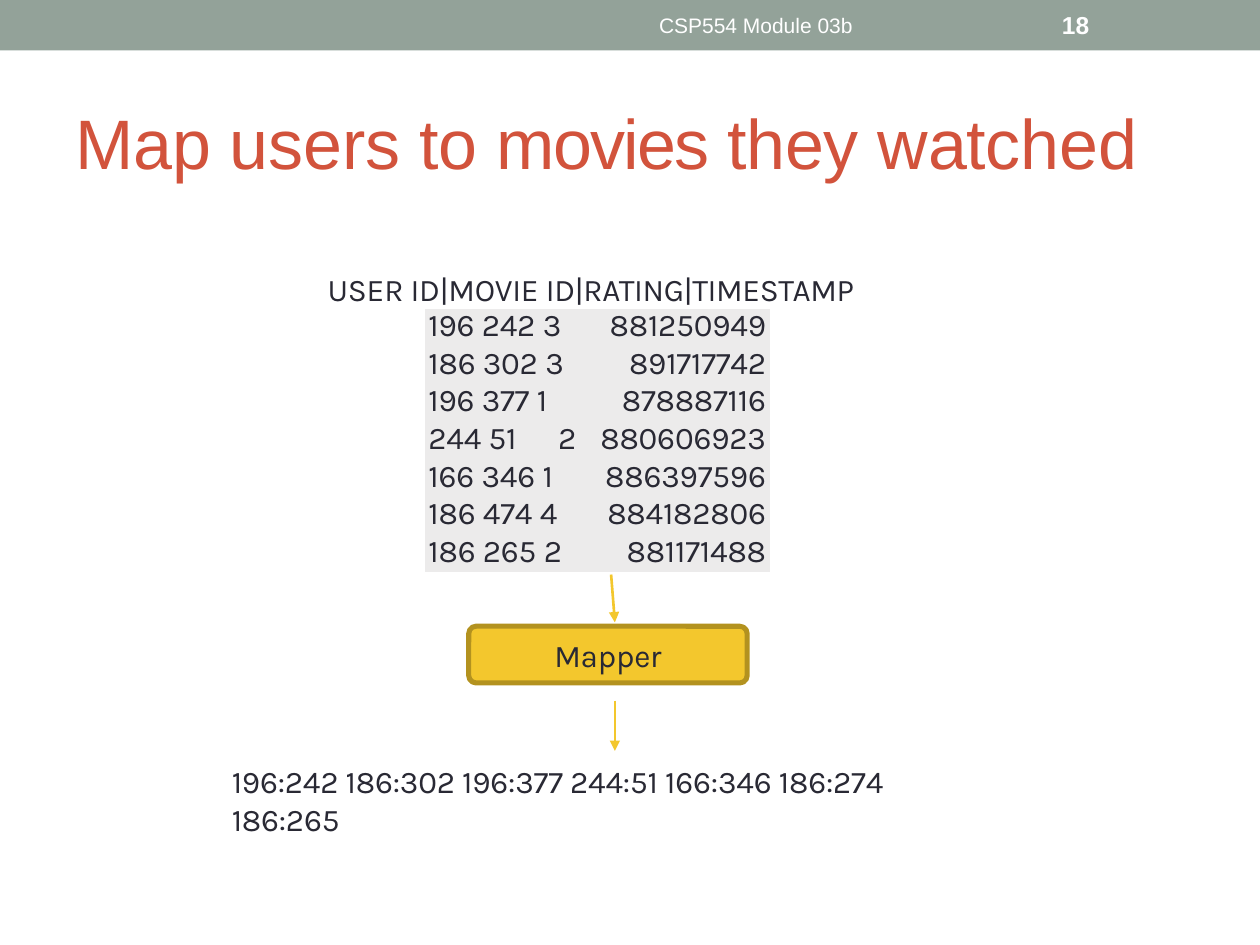
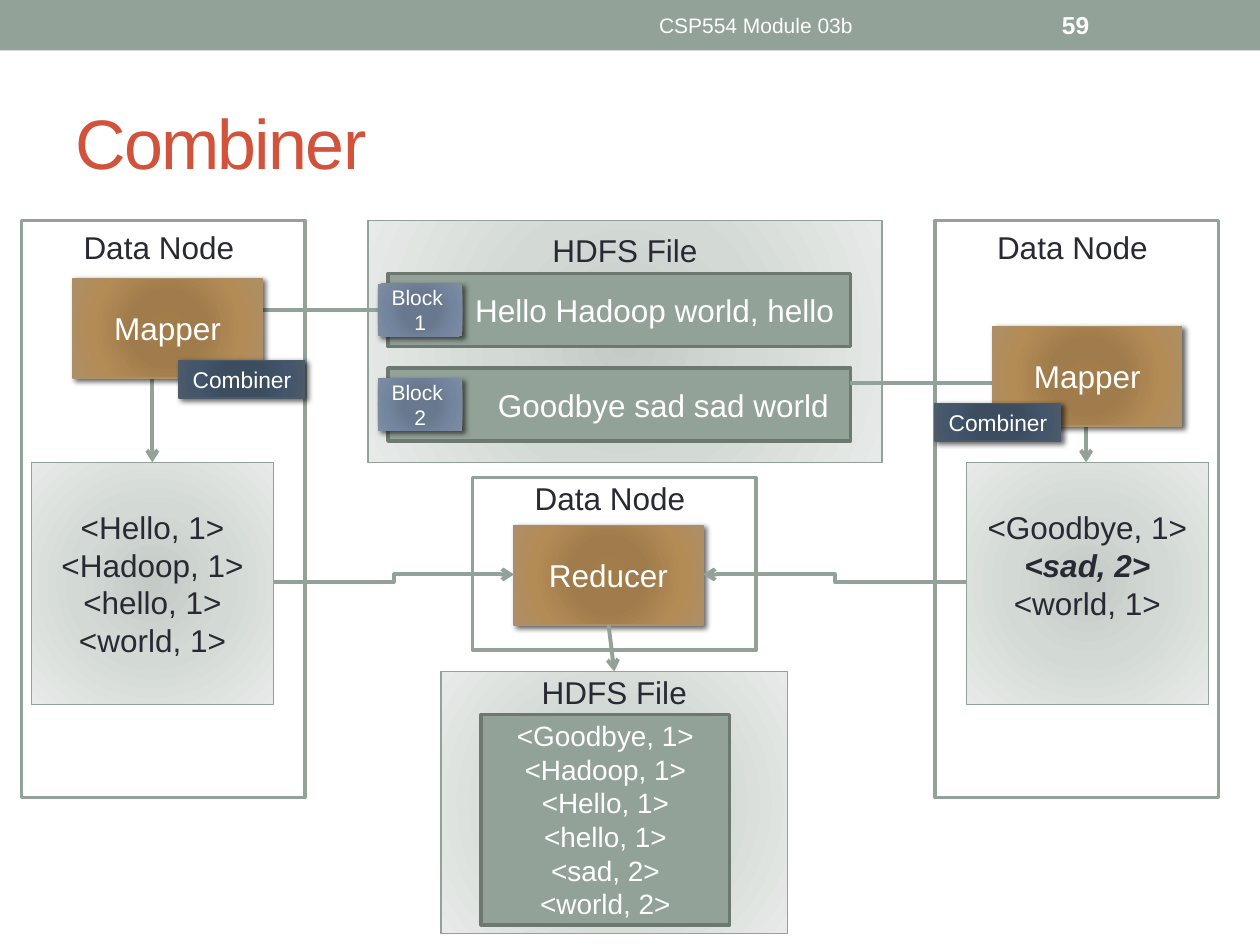
"""Build two lecture slides on MapReduce: a movie mapper and a combiner data flow."""
import pptx
import pptx.dml.color
import pptx.enum.shapes
import pptx.enum.text
import pptx.oxml
import pptx.oxml.ns
import pptx.util

Inches = pptx.util.Inches
Pt = pptx.util.Pt
qn = pptx.oxml.ns.qn
SHAPE = pptx.enum.shapes.MSO_SHAPE
CONNECTOR = pptx.enum.shapes.MSO_CONNECTOR
ANCHORS = {"top": pptx.enum.text.MSO_ANCHOR.TOP, "middle": pptx.enum.text.MSO_ANCHOR.MIDDLE}
ALIGNS = {
    "left": pptx.enum.text.PP_ALIGN.LEFT,
    "center": pptx.enum.text.PP_ALIGN.CENTER,
    "right": pptx.enum.text.PP_ALIGN.RIGHT,
}
NO_TABLE_STYLE = "{2D5ABB26-0587-4C30-8999-92F81FD0307C}"

WHITE, INK, RED = "FFFFFF", "292934", "D2533C"
SAGE, DARK_SAGE = "93A299", "6D7871"
GOLD, DARK_GOLD, TABLE_GRAY = "F3C72D", "B3921F", "ECEBEB"
MIST = ((0, "C4CAC6"), (45, "D3DAD6"), (100, "E7EAE8"))
BRONZE = ((0, "A37D49"), (34, "A07C4C"), (70, "B38B55"), (100, "AD8F67"))
BLUE = ((0, "677790"), (34, "68788E"), (70, "74869F"), (100, "808DA0"))
NAVY = ((0, "3B4D61"), (34, "3C4D60"), (70, "43566B"), (100, "4C5A6A"))


def color(value):
    return pptx.dml.color.RGBColor.from_string(value)


def drawing(tag, body, attributes=""):
    namespace = pptx.oxml.ns.nsdecls("a")
    return pptx.oxml.parse_xml(f"<a:{tag} {namespace} {attributes}>{body}</a:{tag}>")


def write(frame, text, size=18, ink=INK, font="Arial", bold=False, align="left", anchor="middle",
          inset=(0.1, 0.05, 0.1, 0.05), spacing=0, leading=None, tab=None):
    """Fill a frame; a line is a string or a list of (string, overrides) spans."""
    frame.word_wrap = True
    frame.vertical_anchor = ANCHORS[anchor]
    sides = ("margin_left", "margin_top", "margin_right", "margin_bottom")
    for side, length in zip(sides, inset):
        setattr(frame, side, Inches(length))
    for index, line in enumerate([text] if isinstance(text, str) else text):
        para = frame.add_paragraph() if index else frame.paragraphs[0]
        para.alignment = ALIGNS[align]
        if leading:
            para.line_spacing = Pt(leading)
        if tab:
            stop = f'<a:tab pos="{Inches(tab)}" algn="l"/>'
            para._p.get_or_add_pPr().append(drawing("tabLst", stop))
        for words, changes in [(line, {})] if isinstance(line, str) else line:
            span = para.add_run()
            span.text = words
            span.font.name = font
            span.font.size = Pt(size)
            span.font.color.rgb = color(ink)
            span.font.bold = changes.get("bold", bold)
            span.font.italic = changes.get("italic", False)
            tracking = round(100 * changes.get("spacing", spacing))
            span._r.get_or_add_rPr().set("spc", str(tracking))


class Lecture:
    """Holds the deck, its shared style and the current page."""

    def __init__(self):
        self.deck = pptx.Presentation()
        self.deck.slide_width, self.deck.slide_height = Inches(10), Inches(7.5)
        self.page = None

    def start(self, title, number):
        self.page = self.deck.slides.add_slide(self.deck.slide_layouts[6])
        self.box((0, 0, 10, 0.4), SAGE)
        self.label((0.5, 0.58, 9, 1.08), [title], size=40, ink=RED, spacing=-0.1)
        self.label((3.75, 0.02, 4.5, 0.36), "CSP554 Module 03b", size=12, ink=WHITE, align="center")
        self.label((8.33, 0.02, 1.17, 0.36), number, size=14, ink=WHITE, bold=True)

    def label(self, place, text, **style):
        box = self.page.shapes.add_textbox(*map(Inches, place))
        write(box.text_frame, text, **style)

    def box(self, place, fill, text=None, line=None, width=0.75, kind=SHAPE.RECTANGLE,
            shadow=False, **style):
        box = self.page.shapes.add_shape(kind, *map(Inches, place))
        if isinstance(fill, str):
            box.fill.solid()
            box.fill.fore_color.rgb = color(fill)
        else:
            self.glow(box, fill)
        if line:
            box.line.color.rgb = color(line)
            box.line.width = Pt(width)
        else:
            box.line.fill.background()
        box.shadow.inherit = False
        if shadow:
            shade = '<a:srgbClr val="000000"><a:alpha val="60000"/></a:srgbClr>'
            cast = f'blurRad="{Pt(3)}" dist="{Pt(2)}" dir="2700000" rotWithShape="0"'
            effects = box._element.spPr.find(qn("a:effectLst"))
            effects.append(drawing("outerShdw", shade, cast))
        if text:
            write(box.text_frame, text, **{"align": "center", **style})
        return box

    def glow(self, box, stops):
        """Give a box a gradient that spreads from its centre."""
        marks = "".join(f'<a:gs pos="{at * 1000}"><a:srgbClr val="{tone}"/></a:gs>'
                        for at, tone in stops)
        sides = " ".join(f'{side}="100000"' for side in "ltrb")
        spread = f'<a:path path="circle"><a:fillToRect {sides}/></a:path>'
        box.fill.background()
        properties = box._element.spPr
        properties.replace(properties.find(qn("a:noFill")),
                           drawing("gradFill", f"<a:gsLst>{marks}</a:gsLst>{spread}"))

    def panel(self, place, text, **style):
        return self.box(place, MIST, text, SAGE, **style)

    def frame(self, place, top):
        self.box(place, WHITE, "Data Node ", SAGE, 2.08, anchor="top", inset=(0.1, top, 0.1, 0.05))

    def record(self, place, text, **style):
        self.box(place, SAGE, text, DARK_SAGE, 2.08, ink=WHITE, **style)

    def worker(self, left, top, name):
        return self.box((left, top, 1.5, 0.79), BRONZE, name, "AD8F67", shadow=True, ink=WHITE)

    def arrow(self, start, end, tone=SAGE, width=2.25, head="arrow", kind=CONNECTOR.STRAIGHT,
              corner=False):
        arrow = self.page.shapes.add_connector(kind, *map(Inches, start + end))
        arrow.line.color.rgb = color(tone)
        arrow.line.width = Pt(width)
        properties = arrow._element.spPr
        if corner:
            properties.find(qn("a:prstGeom")).set("prst", "bentConnector2")
        properties.find(qn("a:ln")).append(drawing("tailEnd", "", f'type="{head}"'))
        properties.append(drawing("effectLst", ""))
        return arrow

    def table(self, place, rows, widths):
        shape = self.page.shapes.add_table(len(rows), len(widths), *map(Inches, place))
        table = shape.table
        table.first_row = table.horz_banding = False
        table._tbl.tblPr.find(qn("a:tableStyleId")).text = NO_TABLE_STYLE
        for column, width in zip(table.columns, widths):
            column.width = Inches(width)
        for row, values in enumerate(rows):
            for column, (line, align) in enumerate(zip(values, ("left", "right"))):
                cell = table.cell(row, column)
                cell.fill.solid()
                cell.fill.fore_color.rgb = color(TABLE_GRAY)
                write(cell.text_frame, [line], font="Karla", align=align, anchor="top",
                      inset=(0.03, 0, 0.03, 0), spacing=-0.1, leading=20.6,
                      tab=1.03 if "\t" in line[0][0] else None)
                cell.vertical_anchor = ANCHORS["top"]
                cell.margin_left = cell.margin_right = Inches(0.03)
                cell.margin_top = cell.margin_bottom = 0


def build_movie_mapper(lecture):
    lecture.start([("Map users to ", {}), ("movies ", {"spacing": -1}), ("they watched", {})], "18")
    body = {"font": "Karla", "spacing": -0.1}
    header = [("USER ID|MOVIE ", {}), ("ID|RATING|TIMESTAMP", {"spacing": -0.2})]
    lecture.label((2.59, 2.12, 4.4, 0.33), [header], anchor="top", inset=(0.01, 0.02, 0, 0), **body)
    ratings = (
        ("196 242 ", "3", "881250949"),
        ("186 302 ", "3", "891717742"),
        ("196 377 ", "1", "878887116"),
        ("244 51\t", "2", "880606923"),
        ("166 346 ", "1", "886397596"),
        ("186 474 ", "4", "884182806"),
        ("186 265 ", "2", "881171488"),
    )
    rows = [([(ids, {}), (rating, {"spacing": 0})], [(stamp, {})])
            for ids, rating, stamp in ratings]
    lecture.table((3.37, 2.45, 2.74, 2.09), rows, (1.35, 1.39))
    mapper = lecture.box((3.72, 4.97, 2.21, 0.45), GOLD, "Mapper", DARK_GOLD, 2.9,
                         SHAPE.ROUNDED_RECTANGLE, **body)
    mapper.adjustments[0] = 0.13
    for start, end in (((4.85, 4.56), (4.88, 4.94)), ((4.88, 5.56), (4.88, 5.96))):
        lecture.arrow(start, end, GOLD, 1.5, "triangle")
    lecture.label((1.83, 6.05, 5.6, 0.6), "196:242 186:302 196:377 244:51 166:346 186:274 186:265",
                  anchor="top", inset=(0.01, 0, 0, 0), **body)


def build_combiner(lecture):
    lecture.start([("Combiner", {"spacing": -1})], "59")
    lecture.frame((3.75, 3.79, 2.25, 1.37), 0.01)
    for left in (7.42, 0.17):
        lecture.frame((left, 1.75, 2.25, 4.58), 0.06)

    lecture.panel((2.92, 1.75, 4.08, 1.92), "HDFS File", anchor="top", inset=(0.1, 0.08, 0.1, 0.05))
    sentences = (("Hello Hadoop world, hello", 0.66), ("Goodbye sad sad world", 0.8))
    for index, (sentence, indent) in enumerate(sentences):
        lecture.record((3.08, 2.17 + 0.75 * index, 3.67, 0.58), sentence,
                       inset=(indent, 0.05, 0.1, 0.05))
    lecture.panel((0.25, 3.67, 1.92, 1.92),
                  ["<Hello, 1>", "<Hadoop, 1>", "<hello, 1>", "<world, 1>"])
    combined = [("<sad, 2>", {"bold": True, "italic": True})]
    lecture.panel((7.67, 3.67, 1.92, 1.92), ["<Goodbye, 1>", combined, "<world, 1>"],
                  inset=(0.1, 0.05, 0.1, 0.34))
    result = lecture.panel((3.5, 5.33, 2.75, 2.08), "HDFS File", anchor="top",
                           inset=(0.1, 0.01, 0.1, 0.05))

    for start, end in (((3.08, 2.46), (1.21, 3.67)), ((6.75, 3.04), (8.62, 3.67))):
        lecture.arrow(start, end, kind=CONNECTOR.ELBOW, corner=True)
    reducer = lecture.worker(4.08, 4.17, "Reducer")
    lecture.worker(0.58, 2.21, "Mapper")
    lecture.worker(7.88, 2.59, "Mapper")
    for start, end in (((2.17, 4.62), (4.08, 4.56)), ((7.67, 4.62), (5.58, 4.56))):
        lecture.arrow(start, end, kind=CONNECTOR.ELBOW)

    counts = ("Goodbye, 1", "Hadoop, 1", "Hello, 1", "hello, 1", "sad, 2", "world, 2")
    lecture.record((3.82, 5.67, 1.97, 1.67), [f"<{count}>" for count in counts], size=16)
    output = lecture.arrow((4.83, 4.96), (4.88, 5.33))
    output.begin_connect(reducer, 2)
    output.end_connect(result, 0)

    for index in range(2):
        lecture.box((3, 2.25 + 0.75 * index, 0.67, 0.42), BLUE, ["Block ", str(index + 1)],
                    shadow=True, size=12, ink=WHITE)
    for left, top in ((1.42, 2.86), (7.42, 3.2)):
        lecture.box((left, top, 1, 0.3), NAVY, "Combiner", "4C5A6A", shadow=True, size=13,
                    ink=WHITE, inset=(0.05, 0.03, 0.05, 0.03))


def main():
    lecture = Lecture()
    build_movie_mapper(lecture)
    build_combiner(lecture)
    lecture.deck.save("out.pptx")


if __name__ == "__main__":
    main()
